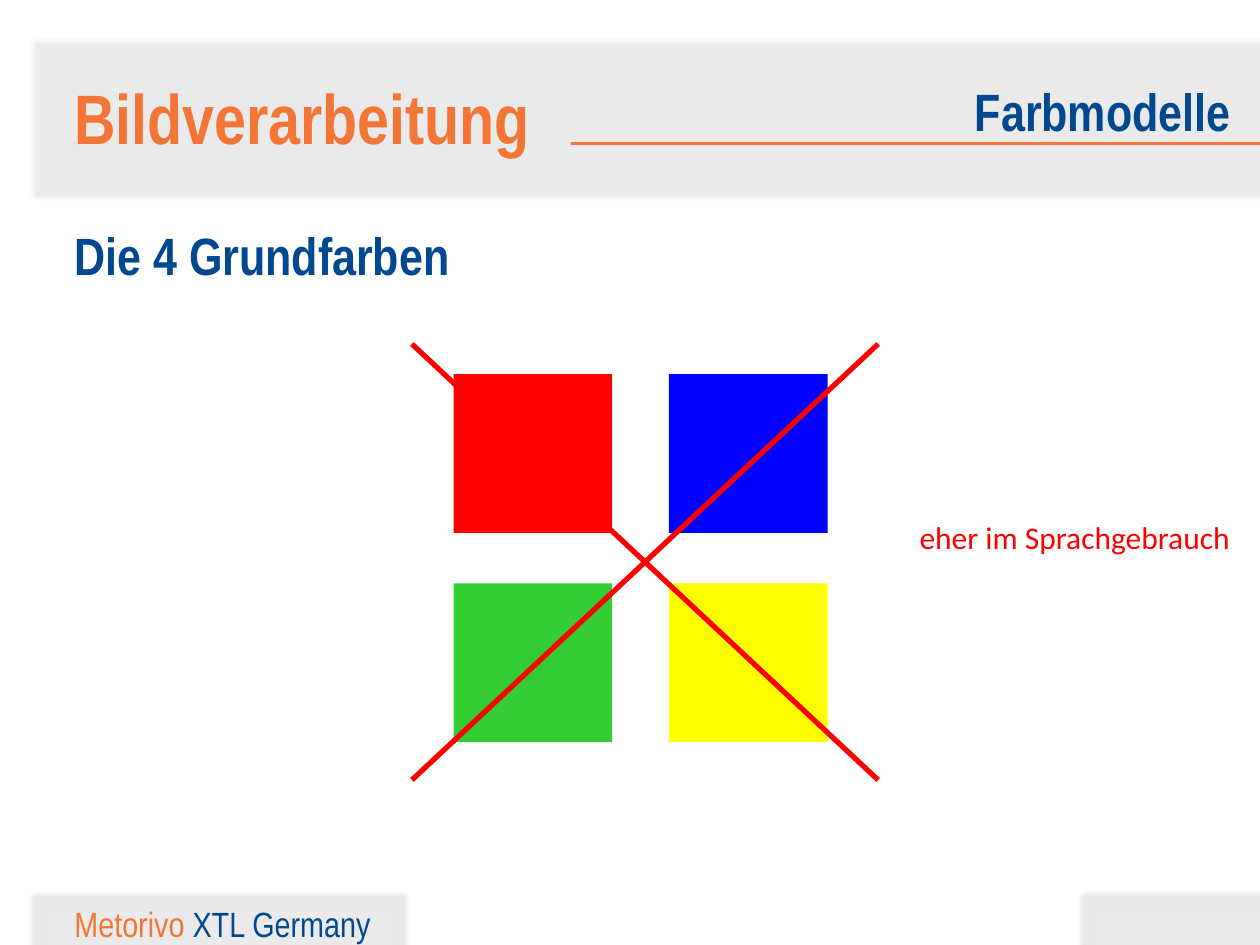
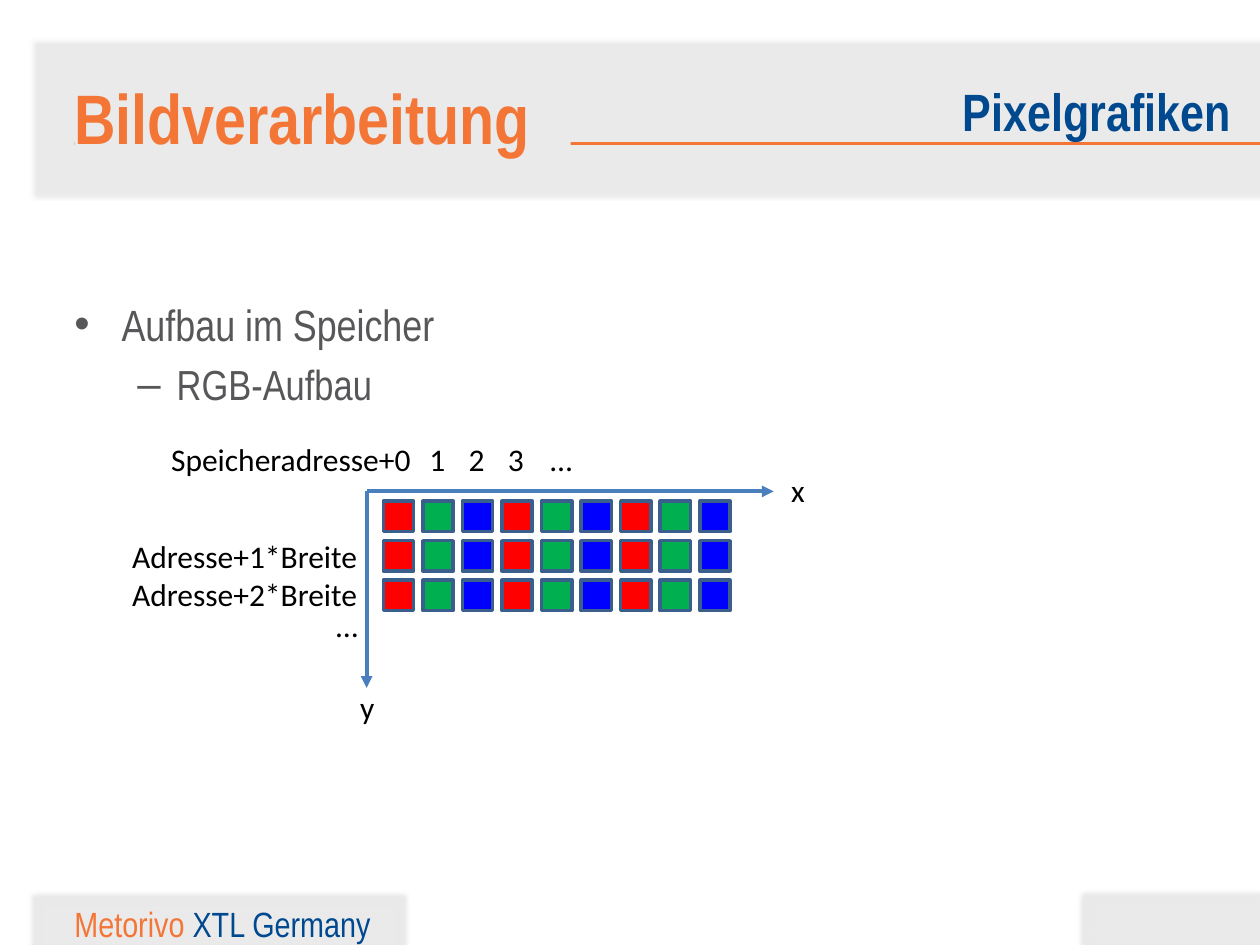
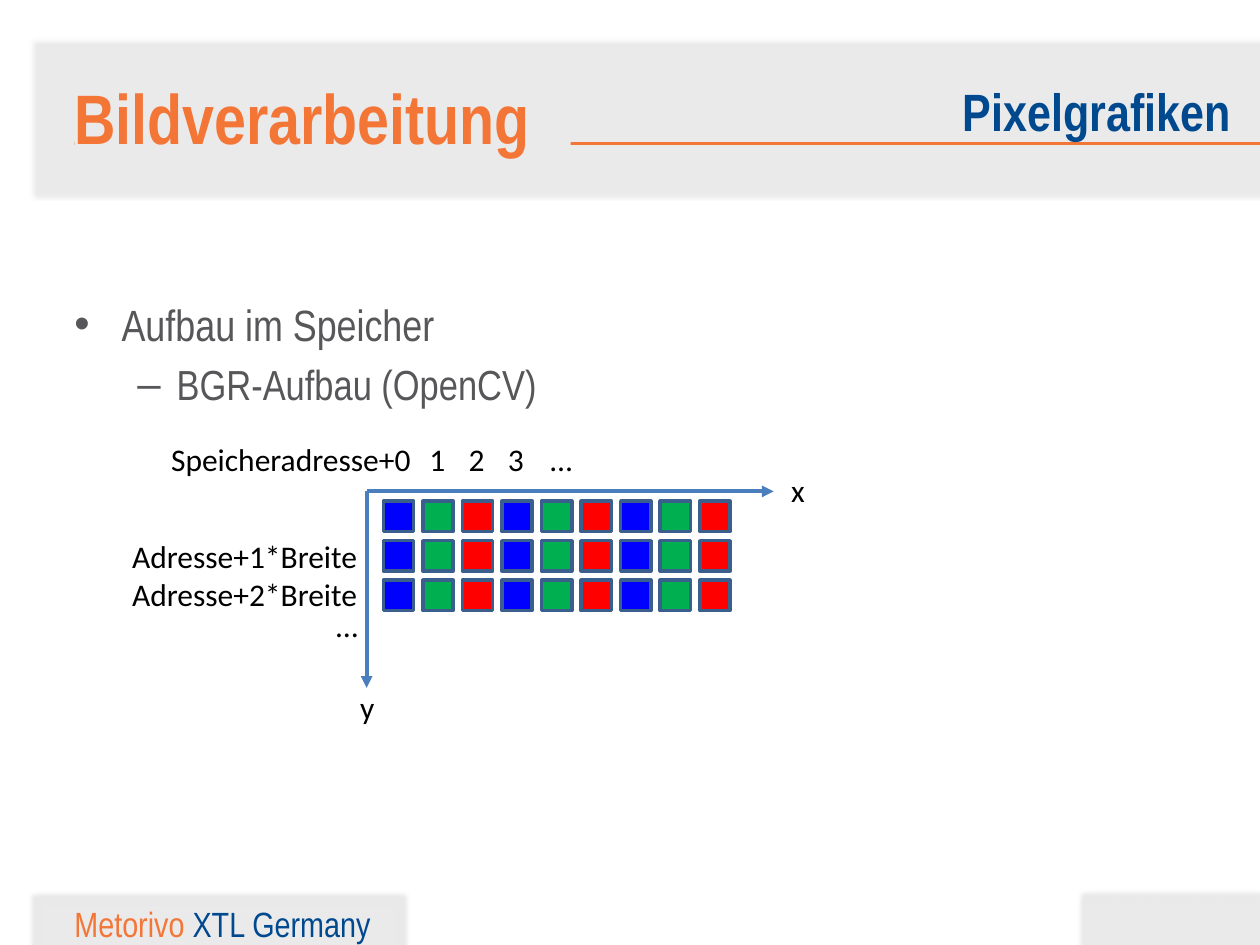
"""Build three slides on image processing: colour models and pixel memory layout."""
from dataclasses import dataclass
from itertools import product

from lxml import etree
from pptx import Presentation
from pptx.dml.color import RGBColor
from pptx.enum.shapes import MSO_CONNECTOR, MSO_SHAPE
from pptx.enum.text import MSO_ANCHOR, MSO_AUTO_SIZE, PP_ALIGN
from pptx.oxml.ns import qn
from pptx.util import Pt

RECTANGLE = MSO_SHAPE.RECTANGLE
STRAIGHT = MSO_CONNECTOR.STRAIGHT
TOP, BOTTOM = MSO_ANCHOR.TOP, MSO_ANCHOR.BOTTOM
LEFT, RIGHT = PP_ALIGN.LEFT, PP_ALIGN.RIGHT
NO_FIT, GROW = MSO_AUTO_SIZE.NONE, MSO_AUTO_SIZE.SHAPE_TO_FIT_TEXT


@dataclass(frozen=True)
class Theme:
    """Colours, fonts and type sizes shared by all slides."""

    orange: str = "F37637"
    navy: str = "00498F"
    band: str = "EAEAEB"
    grey: str = "57575A"
    black: str = "000000"
    axis: str = "4B7EBC"
    outline: str = "3A5F8C"
    red: str = "FF0000"
    blue: str = "0000FF"
    green: str = "00B050"
    lime: str = "33CC33"
    yellow: str = "FFFF00"
    heading_font: str = "Arial Narrow"
    label_font: str = "Calibri"
    title_size: float = 40
    topic_size: float = 30
    bullet_size: float = 25
    sub_bullet_size: float = 24
    footer_size: float = 20
    label_size: float = 18
    glow: float = 5


THEME = Theme()


def write(paragraph, text, *, size, color, font=THEME.heading_font, bold=False):
    """Append a formatted run to a paragraph."""
    run = paragraph.add_run()
    run.text = text
    run.font.name = font
    run.font.size = Pt(size)
    run.font.bold = bold
    run.font.color.rgb = RGBColor.from_string(color)


def add_frame(slide, box, *, inset=(0, 0), wrap=True, anchor=TOP, fit=NO_FIT):
    """Add an empty text box and return it."""
    shape = slide.shapes.add_textbox(*map(Pt, box))
    frame = shape.text_frame
    frame.word_wrap = wrap
    frame.auto_size = fit
    frame.vertical_anchor = anchor
    frame.margin_left = frame.margin_right = Pt(inset[0])
    frame.margin_top = frame.margin_bottom = Pt(inset[1])
    return shape


def add_heading(slide, text, box, *, size=THEME.topic_size, color=THEME.navy,
                align=LEFT, anchor=TOP):
    """Add a bold heading and return its box."""
    shape = add_frame(slide, box, anchor=anchor)
    paragraph = shape.text_frame.paragraphs[0]
    paragraph.alignment = align
    write(paragraph, text, size=size, color=color, bold=True)
    return shape


def add_label(slide, text, box, color=THEME.black):
    """Add a one-line label that does not wrap."""
    shape = add_frame(slide, box, inset=(7.2, 3.6), wrap=False, fit=GROW)
    write(shape.text_frame.paragraphs[0], text, size=THEME.label_size,
          color=color, font=THEME.label_font)


def add_rectangle(slide, box, fill, outline=None):
    """Add a flat rectangle with an optional outline."""
    shape = slide.shapes.add_shape(RECTANGLE, *map(Pt, box))
    shape.shadow.inherit = False
    shape.fill.solid()
    shape.fill.fore_color.rgb = RGBColor.from_string(fill)
    if outline:
        shape.line.color.rgb = RGBColor.from_string(outline)
        shape.line.width = Pt(2)
    else:
        shape.line.fill.background()
    return shape


def add_band(slide, box):
    """Add a grey band with a soft glowing edge."""
    properties = add_rectangle(slide, box, THEME.band)._element.spPr
    effects = properties.find(qn("a:effectLst"))
    glow = etree.SubElement(effects, qn("a:glow"), rad=str(Pt(THEME.glow)))
    etree.SubElement(glow, qn("a:srgbClr"), val=THEME.band)


def add_line(slide, start, end, color, width, arrow=False):
    """Add a straight line, with an arrowhead at its end if wanted."""
    connector = slide.shapes.add_connector(STRAIGHT, *map(Pt, (*start, *end)))
    connector.line.color.rgb = RGBColor.from_string(color)
    connector.line.width = Pt(width)
    properties = connector._element.spPr
    if arrow:
        etree.SubElement(properties.find(qn("a:ln")), qn("a:tailEnd"), type="triangle")
    etree.SubElement(properties, qn("a:effectLst"))


def add_bullet(paragraph, text, mark, *, indent, hanging, size):
    """Turn a paragraph into a bullet with a hanging indent."""
    properties = paragraph._p.get_or_add_pPr()
    properties.set("marL", str(Pt(indent)))
    properties.set("indent", str(-Pt(hanging)))
    font = etree.SubElement(properties, qn("a:buFont"), typeface="Arial")
    font.addnext(etree.Element(qn("a:buChar"), char=mark))
    write(paragraph, text, size=size, color=THEME.grey)


def add_base_slide(presentation, topic):
    """Add a slide with the shared bands, footer, title and topic."""
    slide = presentation.slides.add_slide(presentation.slide_layouts[6])
    for band in ((25.2, 29.5, 705.6, 74.9), (625, 517.7, 102.2, 31.7),
                 (25.2, 517.7, 200.2, 31.7)):
        add_band(slide, band)
    add_line(slide, (720, 82.1), (42.5, 82.1), THEME.orange, 2)
    footer = add_frame(slide, (42.5, 515.5, 272.2, 24.5), fit=GROW)
    for text, color in (("Metorivo ", THEME.orange), ("XTL Germany", THEME.navy)):
        write(footer.text_frame.paragraphs[0], text, size=THEME.footer_size, color=color)
    title = add_heading(slide, "Bildverarbeitung", (42.5, 42.5, 283.7, 48.2),
                        size=THEME.title_size, color=THEME.orange, anchor=BOTTOM)
    title.fill.solid()
    title.fill.fore_color.rgb = RGBColor.from_string(THEME.band)
    add_heading(slide, topic, (252, 45.4, 451.4, 36), align=RIGHT)
    return slide


def add_primary_colors_slide(presentation):
    """Show four crossed-out primary colours."""
    slide = add_base_slide(presentation, "Farbmodelle")
    add_heading(slide, "Die 4 Grundfarben", (42.5, 127.4, 663, 42.5))
    positions = product((213.8, 333.4), (259.2, 382.3))
    colors = (THEME.red, THEME.blue, THEME.lime, THEME.yellow)
    for (top, left), color in zip(positions, colors):
        add_rectangle(slide, (left, top, 90.7, 90.7), color)
    left, right, top, bottom = 235.4, 501.8, 196.6, 445.7
    add_line(slide, (right, top), (left, bottom), THEME.red, 3)
    add_line(slide, (left, top), (right, bottom), THEME.red, 3)
    add_label(slide, "eher im Sprachgebrauch", (518.4, 292.3, 194.4, 28.8), THEME.red)


def add_pixel_grid(slide, channels):
    """Draw three rows of three pixels, one square per channel."""
    left, top, pitch, side = 219.1, 286.4, 22.6, 17.3
    for row, column in product(range(3), range(9)):
        box = (left + column * pitch, top + row * pitch, side, side)
        add_rectangle(slide, box, channels[column % len(channels)], THEME.outline)


def add_memory_slide(presentation, layout_name, channels):
    """Explain how a channel order is laid out in memory."""
    slide = add_base_slide(presentation, "Pixelgrafiken")
    frame = add_frame(slide, (42.5, 169.9, 663, 366.5)).text_frame
    add_bullet(frame.paragraphs[0], "Aufbau im Speicher", "•",
               indent=27, hanging=27, size=THEME.bullet_size)
    layout = frame.add_paragraph()
    layout.level = 1
    layout.space_before = Pt(5)
    add_bullet(layout, layout_name, "–", indent=58.5, hanging=22.5,
               size=THEME.sub_bullet_size)

    origin = (209.5, 280.8)
    for end in ((442.1, origin[1]), (origin[0], 393.1)):
        add_line(slide, origin, end, THEME.axis, 2.25, arrow=True)
    add_pixel_grid(slide, channels)

    labels = [("x", 445, 265.7, 22.3), ("y", 198.7, 389.5, 23),
              ("Speicheradresse+0", 90.7, 247.7, 153.4),
              ("…", 307.4, 247.7, 27.4), ("…", 185, 342.7, 27.4)]
    labels += [(str(number), 215.9 + 22.4 * number, 247.7, 23.8) for number in (1, 2, 3)]
    labels += [(f"Adresse+{row}*Breite", 68.4, 281.2 + 21.9 * row, 144.7) for row in (1, 2)]
    for text, left, top, width in labels:
        add_label(slide, text, (left, top, width, 28.8))


def main():
    """Build and save the presentation."""
    presentation = Presentation()
    presentation.slide_width, presentation.slide_height = Pt(720), Pt(540)
    add_primary_colors_slide(presentation)
    rgb = (THEME.red, THEME.green, THEME.blue)
    add_memory_slide(presentation, "RGB-Aufbau", rgb)
    add_memory_slide(presentation, "BGR-Aufbau (OpenCV)", rgb[::-1])
    presentation.save("out.pptx")


if __name__ == "__main__":
    main()
